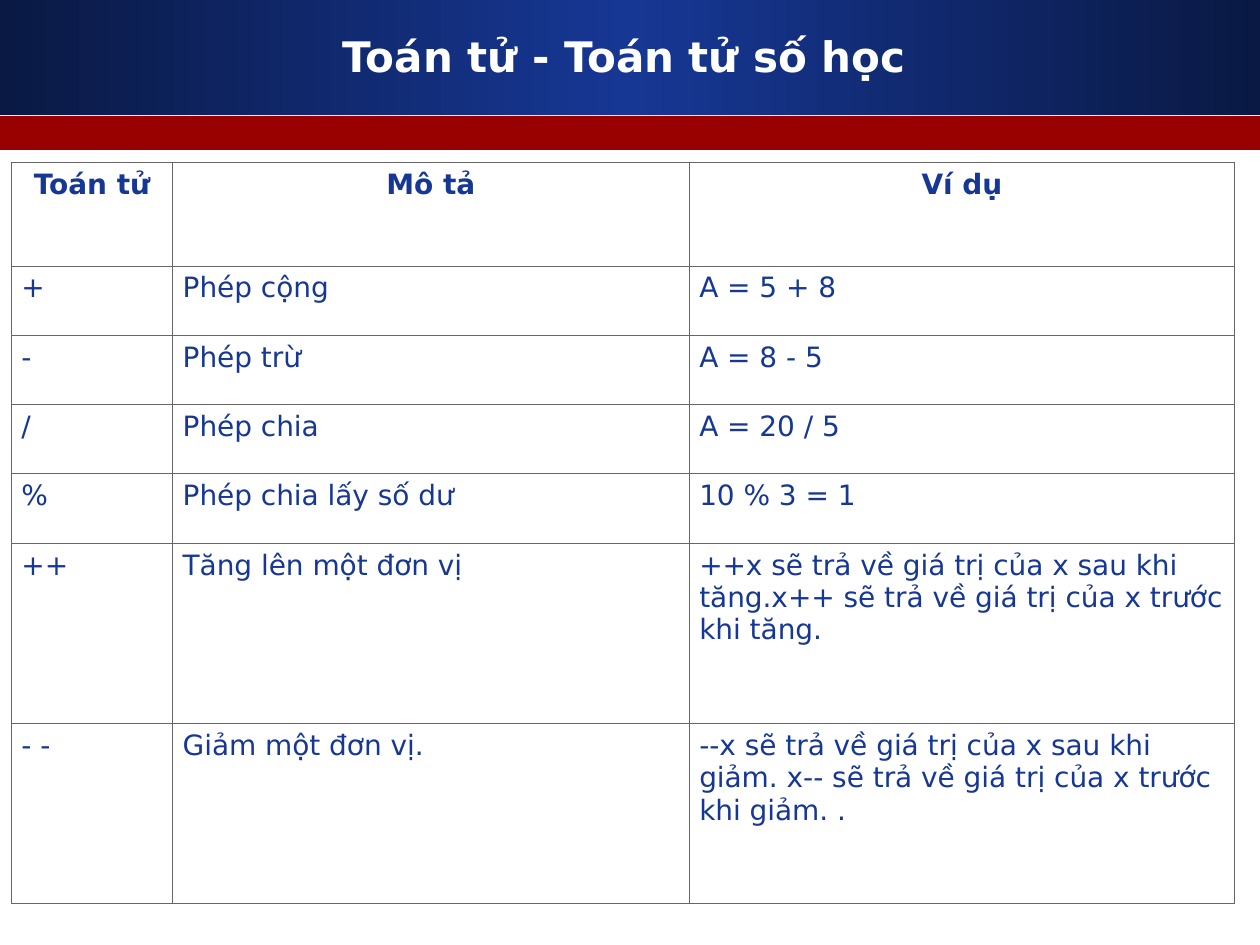
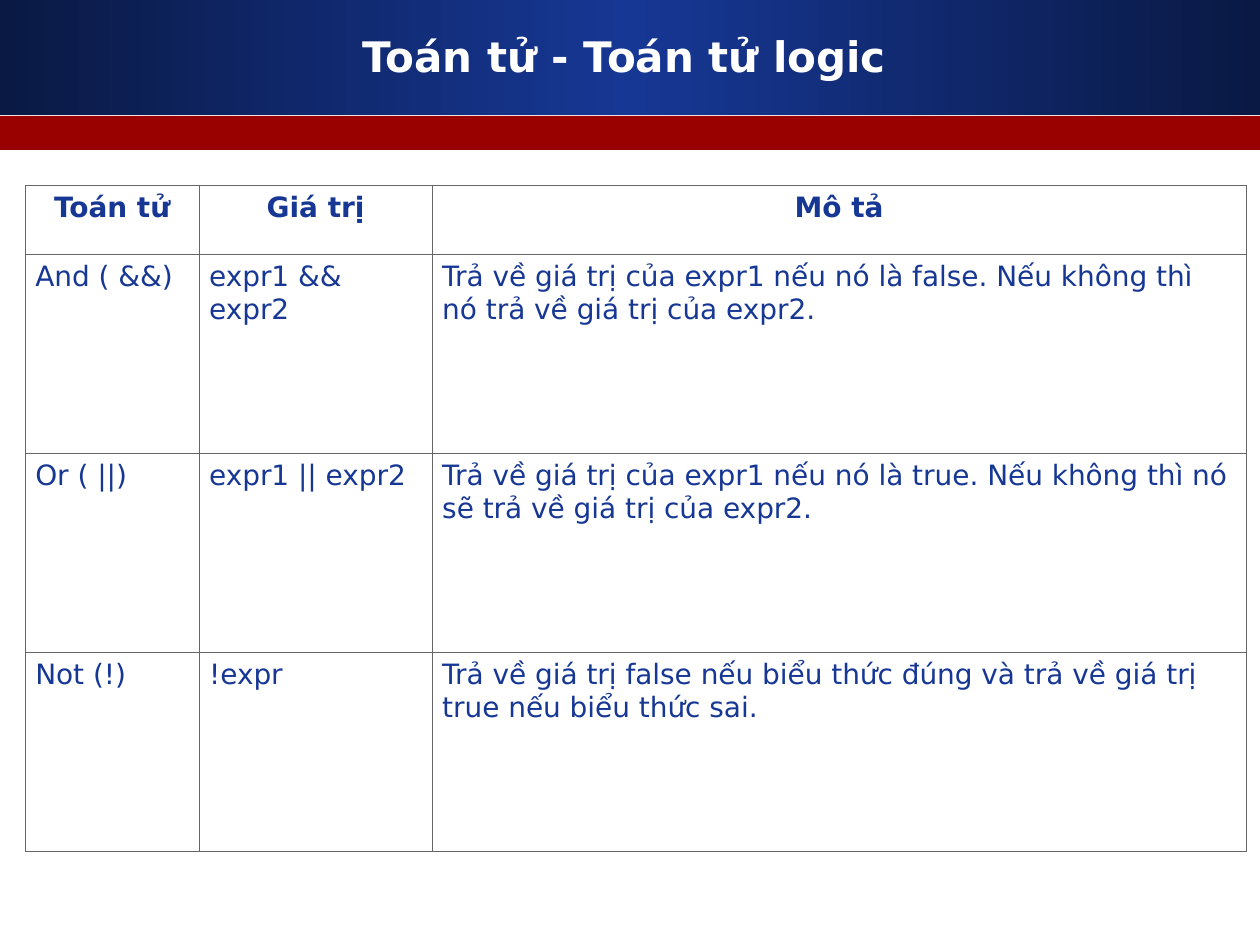
from copy import deepcopy
from lxml import etree
from pptx import Presentation
from pptx.dml.color import RGBColor
from pptx.enum.shapes import MSO_SHAPE
from pptx.enum.text import MSO_ANCHOR, PP_ALIGN
from pptx.oxml.ns import qn
from pptx.util import Inches, Pt

RECT = MSO_SHAPE.RECTANGLE
MIDDLE = MSO_ANCHOR.MIDDLE
CENTER, LEFT = PP_ALIGN.CENTER, PP_ALIGN.LEFT

# Shared look
FONT = "DejaVu Sans"
NAVY, BLUE, RED = "0A1944", "163794", "990000"
WHITE, GRAY = "FFFFFF", "666666"
BANDS = [(0, 0.91), (0.92, 0.27)]

# Slide content: title, table corner, column widths, row heights, rows
PAGES = [
    ("Toán tử - Toán tử số học", (0.09, 1.29),
     [1.28, 4.1, 4.33], [0.82] + [0.55] * 4 + [1.43] * 2,
     [("Toán tử", "Mô tả", "Ví dụ"),
      ("+", "Phép cộng", "A = 5 + 8"),
      ("-", "Phép trừ", "A = 8 - 5"),
      ("/", "Phép chia", "A = 20 / 5"),
      ("%", "Phép chia lấy số dư", "10 % 3 = 1"),
      ("++", "Tăng lên một đơn vị",
       "++x sẽ trả về giá trị của x sau khi tăng."
       "x++ sẽ trả về giá trị của x trước khi tăng."),
      ("- -", "Giảm một đơn vị.",
       "--x sẽ trả về giá trị của x sau khi giảm. "
       "x-- sẽ trả về giá trị của x trước khi giảm. .")]),
    ("Toán tử - Toán tử logic", (0.2, 1.47),
     [1.38, 1.85, 6.46], [0.55] + [1.58] * 3,
     [("Toán tử", "Giá trị", "Mô tả"),
      ("And ( &&)", "expr1 && expr2",
       "Trả về giá trị của expr1 nếu nó là false. "
       "Nếu không thì nó trả về giá trị của expr2."),
      ("Or ( ||)", "expr1 || expr2",
       "Trả về giá trị của expr1 nếu nó là true. "
       "Nếu không thì nó sẽ trả về giá trị của expr2."),
      ("Not (!)", "!expr",
       "Trả về giá trị false nếu biểu thức đúng "
       "và trả về giá trị true nếu biểu thức sai.")]),
]


def rgb(code):
    return RGBColor.from_string(code)


def write(frame, text, size, color, bold, align):
    para = frame.paragraphs[0]
    para.alignment = align
    run = para.add_run()
    run.text = text
    font = run.font
    font.name, font.size, font.bold = FONT, Pt(size), bold
    font.color.rgb = rgb(color)
    return para


prs = Presentation()
prs.slide_width, prs.slide_height = Inches(10), Inches(7.5)

for title, (left, top), cols, rows, cells in PAGES:
    slide = prs.slides.add_slide(prs.slide_layouts[6])
    slide.background.fill.solid()
    slide.background.fill.fore_color.rgb = rgb(WHITE)

    # Header bands
    bands = []
    for y, high in BANDS:
        band = slide.shapes.add_shape(
            RECT, 0, Inches(y), Inches(10), Inches(high))
        band.shadow.inherit = False
        band.line.fill.background()
        bands.append(band)
    head, strip = bands
    strip.fill.solid()
    strip.fill.fore_color.rgb = rgb(RED)

    # Three-stop gradient
    head.fill.gradient()
    head.fill.gradient_angle = 0
    stops = next(head._element.iter(qn("a:gsLst")))
    stops.append(deepcopy(stops[0]))
    for stop, place, code in zip(head.fill.gradient_stops,
                                 (0, 0.5, 1), (NAVY, BLUE, NAVY)):
        stop.position = place
        stop.color.rgb = rgb(code)

    # Title
    box = slide.shapes.add_textbox(
        Inches(0.33), Inches(0.17), Inches(9.25), Inches(0.62))
    frame = box.text_frame
    frame.word_wrap = True
    frame.vertical_anchor = MIDDLE
    write(frame, title, 24, WHITE, True, CENTER).line_spacing = 0.8

    # Table
    table = slide.shapes.add_table(
        len(rows), len(cols), Inches(left), Inches(top),
        Inches(sum(cols)), Inches(sum(rows))).table
    for col, wide in zip(table.columns, cols):
        col.width = Inches(wide)
    for row, high in zip(table.rows, rows):
        row.height = Inches(high)
    for r, texts in enumerate(cells):
        for c, text in enumerate(texts):
            cell = table.cell(r, c)
            cell.margin_left = cell.margin_right = Inches(0.08)
            cell.margin_top = cell.margin_bottom = Inches(0.05)
            write(cell.text_frame, text, 16, BLUE, r == 0,
                  LEFT if r else CENTER)
            # Borders go before the fill
            props = cell._tc.get_or_add_tcPr()
            for side in ("a:lnL", "a:lnR", "a:lnT", "a:lnB"):
                line = etree.SubElement(props, qn(side), w=str(Pt(0.34)))
                fill = etree.SubElement(line, qn("a:solidFill"))
                etree.SubElement(fill, qn("a:srgbClr"), val=GRAY)
            cell.fill.solid()
            cell.fill.fore_color.rgb = rgb(WHITE)

prs.save("out.pptx")
